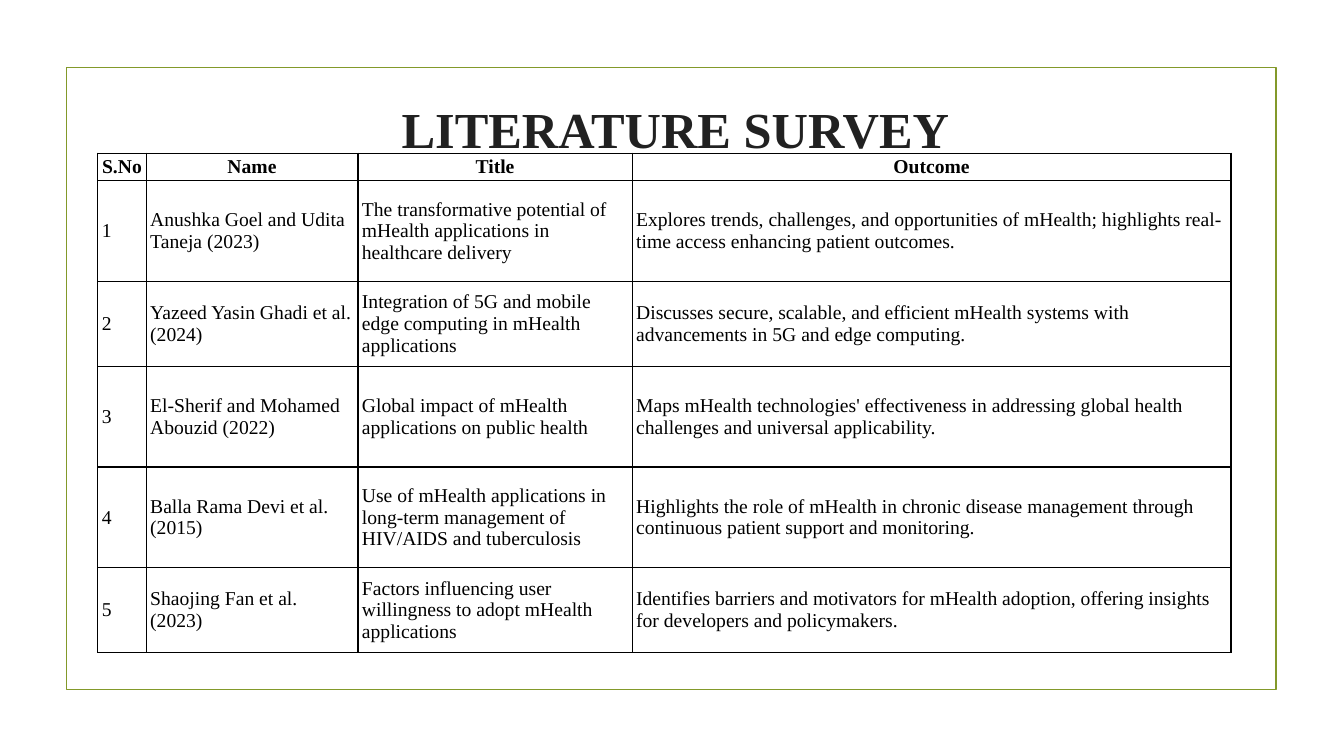
import lxml.etree
import pptx
import pptx.dml.color
import pptx.enum.shapes
import pptx.enum.text
import pptx.oxml.ns
import pptx.util

Inches = pptx.util.Inches
Pt = pptx.util.Pt
FONT = "Times New Roman"
COLORS = {"frame": "83992A", "title": "212121", "table": "000000"}
COLUMN_WIDTHS = [0.48, 2.1, 2.72, 5.94]
ROW_HEIGHTS = [0.21, 1, 0.84, 1, 1, 0.84]
HEADINGS = ["S.No", "Name", "Title", "Outcome"]
STUDIES = [
    ("Anushka Goel and Udita Taneja (2023)",
     "The transformative potential of mHealth applications in healthcare delivery",
     "Explores trends, challenges, and opportunities of mHealth; highlights real-time access "
     "enhancing patient outcomes."),
    ("Yazeed Yasin Ghadi et al. (2024)",
     "Integration of 5G and mobile edge computing in mHealth applications",
     "Discusses secure, scalable, and efficient mHealth systems with advancements in 5G and "
     "edge computing."),
    ("El-Sherif and Mohamed Abouzid (2022)",
     "Global impact of mHealth applications on public health",
     "Maps mHealth technologies' effectiveness in addressing global health challenges and "
     "universal applicability."),
    ("Balla Rama Devi et al. (2015)",
     "Use of mHealth applications in long-term management of HIV/AIDS and tuberculosis",
     "Highlights the role of mHealth in chronic disease management through continuous patient "
     "support and monitoring."),
    ("Shaojing Fan et al. (2023)",
     "Factors influencing user willingness to adopt mHealth applications",
     "Identifies barriers and motivators for mHealth adoption, offering insights for developers "
     "and policymakers."),
]


def color(name):
    return pptx.dml.color.RGBColor.from_string(COLORS[name])


def add_run(paragraph, text, size, color_name, bold):
    run = paragraph.add_run()
    run.text = text
    run.font.name = FONT
    run.font.size = Pt(size)
    run.font.bold = bold
    run.font.color.rgb = color(color_name)


def add_frame(slide, left, top, width, height):
    shape = slide.shapes.add_shape(
        pptx.enum.shapes.MSO_SHAPE.RECTANGLE,
        Inches(left), Inches(top), Inches(width), Inches(height))
    shape.shadow.inherit = False
    shape.fill.background()
    shape.line.color.rgb = color("frame")
    shape.line.width = Pt(1.25)


def add_title(slide, left, top, width, height):
    indent = 1
    shape = slide.shapes.add_textbox(
        Inches(left + indent), Inches(top), Inches(width - indent), Inches(height))
    text_frame = shape.text_frame
    text_frame.word_wrap = True
    text_frame.margin_top = Inches(0.05)
    paragraph = text_frame.paragraphs[0]
    paragraph.alignment = pptx.enum.text.PP_ALIGN.CENTER
    paragraph.line_spacing = 1.7
    add_run(paragraph, "LITERATURE SURVEY", 36, "title", True)


def add_borders(cell):
    qn = pptx.oxml.ns.qn
    properties = cell._tc.get_or_add_tcPr()
    for position, side in enumerate(["lnL", "lnR", "lnT", "lnB"]):
        line = lxml.etree.Element(qn("a:" + side), w=str(Pt(1)))
        fill = lxml.etree.SubElement(line, qn("a:solidFill"))
        lxml.etree.SubElement(fill, qn("a:srgbClr"), val=COLORS["table"])
        properties.insert(position, line)


def fill_cell(cell, text, heading):
    cell.margin_left = cell.margin_right = Inches(0.04)
    cell.margin_top = cell.margin_bottom = Inches(0.02)
    cell.vertical_anchor = pptx.enum.text.MSO_ANCHOR.MIDDLE
    cell.fill.background()
    add_borders(cell)
    paragraph = cell.text_frame.paragraphs[0]
    if heading:
        paragraph.alignment = pptx.enum.text.PP_ALIGN.CENTER
    add_run(paragraph, text, 14, "table", heading)


def add_survey_table(slide, left, top, width, height):
    rows = [HEADINGS] + [(str(number), *study) for number, study in enumerate(STUDIES, 1)]
    table = slide.shapes.add_table(
        len(rows), len(HEADINGS),
        Inches(left), Inches(top), Inches(width), Inches(height)).table
    table.first_row = False
    table.horz_banding = False
    for column, column_width in zip(table.columns, COLUMN_WIDTHS):
        column.width = Inches(column_width)
    for row, row_height in zip(table.rows, ROW_HEIGHTS):
        row.height = Inches(row_height)
    for row_index, texts in enumerate(rows):
        for column_index, text in enumerate(texts):
            fill_cell(table.cell(row_index, column_index), text, row_index == 0)


def main():
    presentation = pptx.Presentation()
    presentation.slide_width = Inches(13.33)
    presentation.slide_height = Inches(7.5)
    slide = presentation.slides.add_slide(presentation.slide_layouts[6])
    add_frame(slide, 0.66, 0.67, 12, 6.17)
    add_title(slide, 1.5, 0.5, 9.4, 1.02)
    add_survey_table(slide, 0.97, 1.52, sum(COLUMN_WIDTHS), sum(ROW_HEIGHTS))
    presentation.save("out.pptx")


if __name__ == "__main__":
    main()
